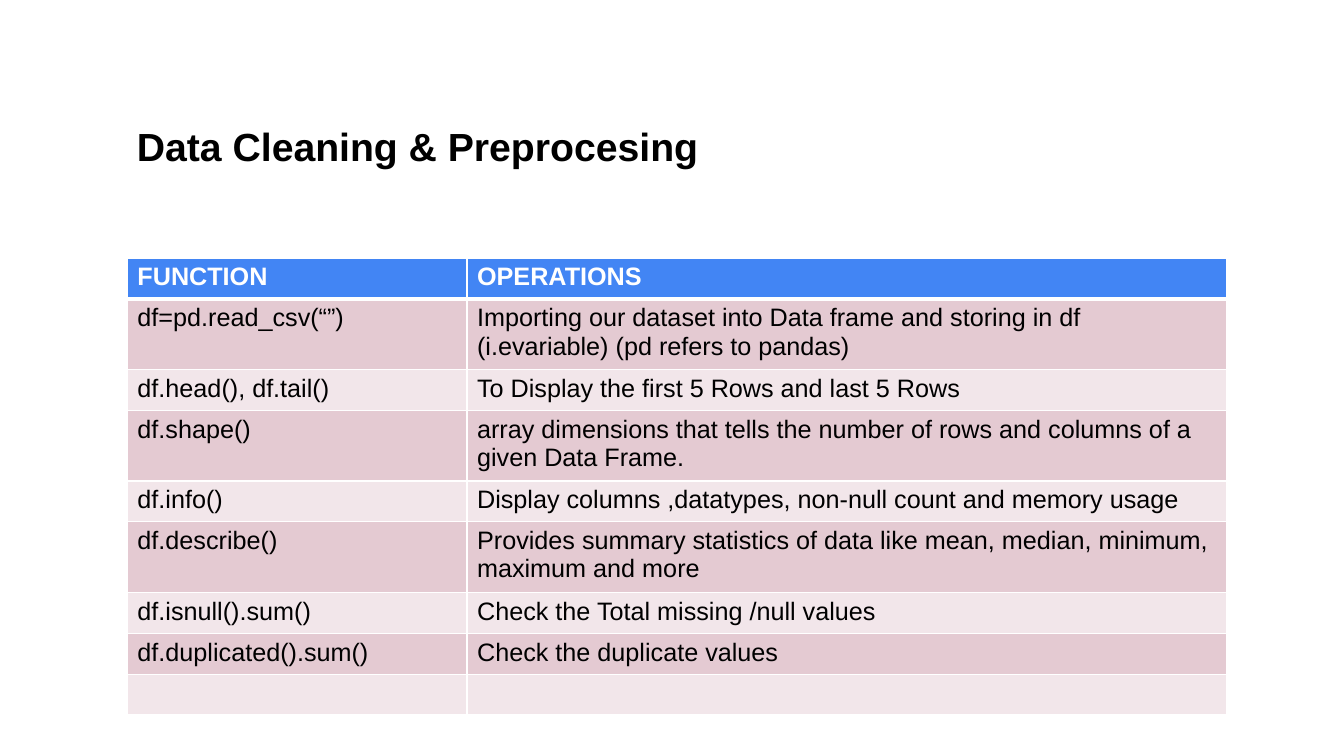
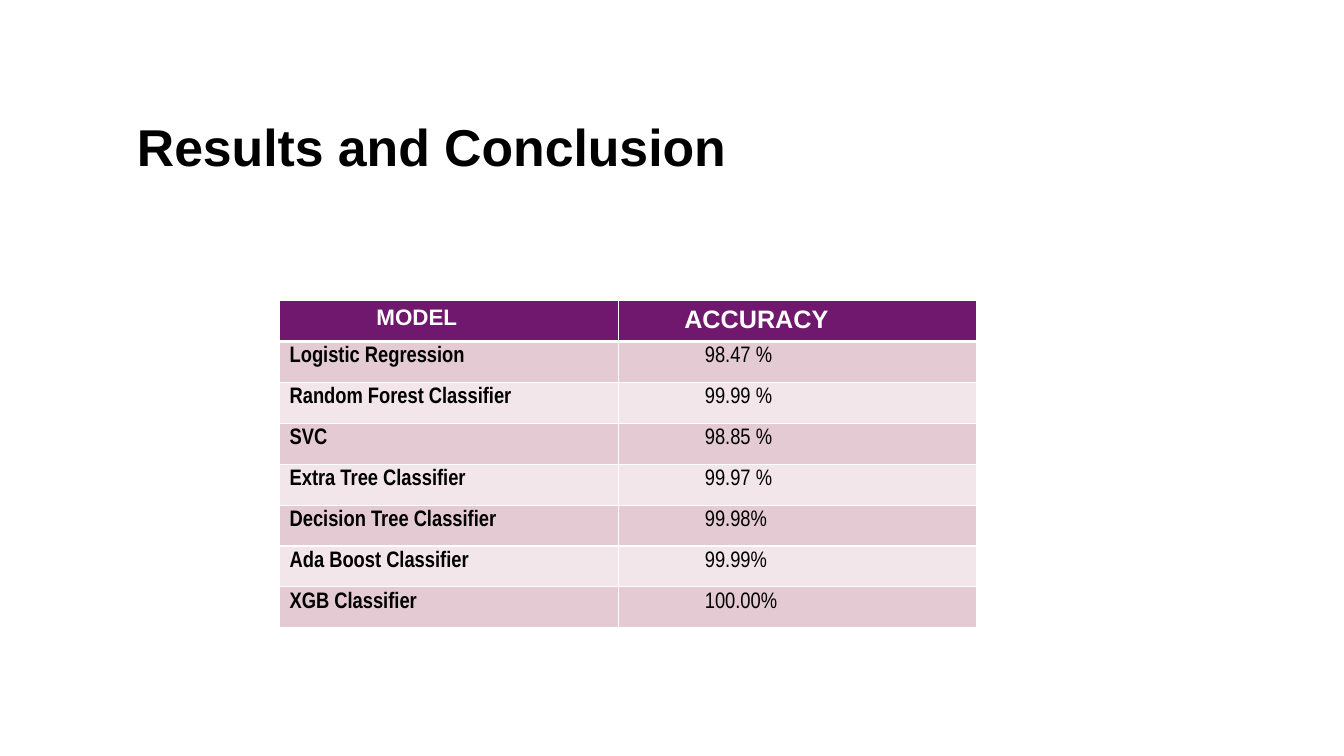
import pptx
import pptx.dml.color
import pptx.enum.text
import pptx.oxml.ns
import pptx.util
from dataclasses import dataclass
from lxml import etree

Pt = pptx.util.Pt
qn = pptx.oxml.ns.qn


@dataclass(frozen=True)
class Theme:
    font: str = "Arial"
    narrow: str = "Arial Narrow"
    black: str = "000000"
    white: str = "FFFFFF"
    blue: str = "4285F4"
    purple: str = "70186D"
    bands: tuple = ("E4CAD2", "F2E6EA")
    body: int = 18
    small: int = 16
    rule: int = 1
    header_rule: int = 3


T = Theme()
SLIDE_SIZE = (960, 540)
TITLE_BOX = (90.7, 76.3, 689.8, 55.4)
ROW_HEIGHT = 29.2
HEADER = dict(color=T.white, bold=True)

SLIDES = [
    dict(
        title="Data Cleaning & Preprocesing",
        title_size=28,
        at=(91, 184.3),
        widths=(242.6, 542.9),
        header_fill=T.blue,
        header_formats=(HEADER, HEADER),
        formats=({}, {}),
        rows=[
            ("FUNCTION", "OPERATIONS"),
            ("df=pd.read_csv(“”)", "Importing our dataset into Data frame and storing in df "
             "(i.evariable) (pd refers to pandas)"),
            ("df.head(), df.tail()", "To Display the first 5 Rows and last 5 Rows"),
            ("df.shape()", "array dimensions that tells the number of rows and columns "
             "of a given Data Frame."),
            ("df.info()", "Display columns ,datatypes, non-null count and memory usage"),
            ("df.describe()", "Provides summary statistics of data like mean, median, "
             "minimum, maximum and more"),
            ("df.isnull().sum()", "Check the Total missing /null values"),
            ("df.duplicated().sum()", "Check the duplicate values"),
            ("", ""),
        ],
    ),
    dict(
        title="Results and Conclusion",
        title_size=37,
        at=(199.7, 214.8),
        widths=(241.9, 256.3),
        header_fill=T.purple,
        header_formats=(dict(HEADER, size=T.small, indent=62), dict(HEADER, indent=40)),
        formats=(
            dict(size=T.small, font=T.narrow, bold=True),
            dict(size=T.small, font=T.narrow, indent=54.7),
        ),
        rows=[
            ("MODEL", "ACCURACY"),
            ("Logistic Regression", "98.47 %"),
            ("Random Forest Classifier", "99.99 %"),
            ("SVC", "98.85 %"),
            ("Extra Tree Classifier", "99.97 %"),
            ("Decision Tree Classifier", "99.98%"),
            ("Ada Boost Classifier", "99.99%"),
            ("XGB Classifier", "100.00%"),
        ],
    ),
]


def rgb(color):
    return pptx.dml.color.RGBColor.from_string(color)


def write(tf, text, size=T.body, font=T.font, color=T.black, bold=False, indent=0):
    p = tf.paragraphs[0]
    p.font.size = Pt(size)
    if indent:
        pPr = p._p.get_or_add_pPr()
        pPr.set("marL", str(Pt(indent)))
        pPr.set("indent", "0")
    if text:
        r = p.add_run()
        r.text = text
        r.font.size = Pt(size)
        r.font.name = font
        r.font.bold = bold
        r.font.color.rgb = rgb(color)


def set_borders(cell, **widths):
    tcPr = cell._tc.get_or_add_tcPr()
    for i, side in enumerate("LRTB"):
        ln = etree.Element(qn(f"a:ln{side}"), w=str(Pt(widths.get(side, T.rule))))
        fill = etree.SubElement(ln, qn("a:solidFill"))
        etree.SubElement(fill, qn("a:srgbClr"), val=T.white)
        tcPr.insert(i, ln)


def add_title(slide, text, size):
    tf = slide.shapes.add_textbox(*map(Pt, TITLE_BOX)).text_frame
    tf.word_wrap = True
    tf.vertical_anchor = pptx.enum.text.MSO_ANCHOR.MIDDLE
    write(tf, text, size=size, bold=True)


def add_grid(slide, at, widths, rows, header_fill, header_formats, formats):
    box = (*at, sum(widths), ROW_HEIGHT * len(rows))
    table = slide.shapes.add_table(len(rows), len(widths), *map(Pt, box)).table
    table.horz_banding = False
    table.first_row = False
    for col, width in zip(table.columns, widths):
        col.width = Pt(width)
    for i, row in enumerate(rows):
        table.rows[i].height = Pt(ROW_HEIGHT)
        fill = T.bands[(i - 1) % 2] if i else header_fill
        edges = {0: {"B": T.header_rule}, 1: {"T": T.header_rule}}.get(i, {})
        for j, text in enumerate(row):
            cell = table.cell(i, j)
            cell.fill.solid()
            cell.fill.fore_color.rgb = rgb(fill)
            set_borders(cell, **edges)
            write(cell.text_frame, text, **(formats if i else header_formats)[j])


def main():
    prs = pptx.Presentation()
    prs.slide_width, prs.slide_height = map(Pt, SLIDE_SIZE)
    for content in SLIDES:
        slide = prs.slides.add_slide(prs.slide_layouts[6])
        grid = dict(content)
        add_title(slide, grid.pop("title"), grid.pop("title_size"))
        add_grid(slide, **grid)
    prs.save("out.pptx")


if __name__ == "__main__":
    main()
